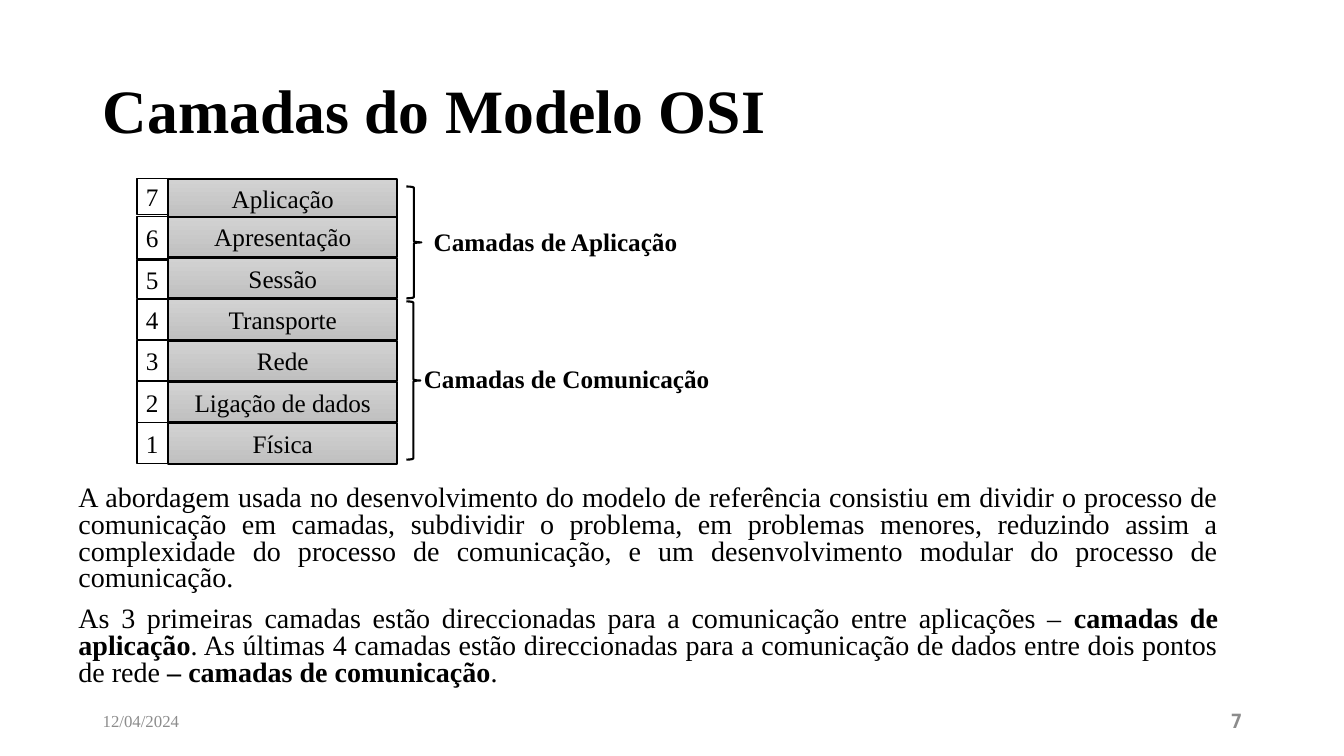
from pptx import Presentation
from pptx.dml.color import RGBColor
from pptx.enum.shapes import MSO_SHAPE
from pptx.enum.text import MSO_ANCHOR, PP_ALIGN
from pptx.util import Inches, Pt

RECTANGLE, BRACE = MSO_SHAPE.RECTANGLE, MSO_SHAPE.RIGHT_BRACE
TOP, MIDDLE = MSO_ANCHOR.TOP, MSO_ANCHOR.MIDDLE
LEFT, CENTER, RIGHT, JUSTIFY = PP_ALIGN.LEFT, PP_ALIGN.CENTER, PP_ALIGN.RIGHT, PP_ALIGN.JUSTIFY
BLACK = RGBColor(0x00, 0x00, 0x00)
WHITE = RGBColor(0xFF, 0xFF, 0xFF)
GRAY = RGBColor(0x8C, 0x8C, 0x8C)
LAYER_LIGHT = RGBColor(0xD2, 0xD2, 0xD2)
LAYER_DARK = RGBColor(0xC0, 0xC0, 0xC0)
SERIF, MONO = "Times New Roman", "DejaVu Sans Mono"

TITLE = "Camadas do Modelo OSI"
LAYERS = [
    ("Aplicação", 1.77, 0.36),
    ("Apresentação", 2.15, 0.42),
    ("Sessão", 2.58, 0.38),
    ("Transporte", 2.97, 0.40),
    ("Rede", 3.38, 0.40),
    ("Ligação de dados", 3.78, 0.42),
    ("Física", 4.19, 0.41),
]
GROUPS = [
    ("Camadas de Aplicação", (4.19, 2.2, 2.64, 0.4), (4.03, 1.85, 0.15, 1.11)),
    ("Camadas de Comunicação", (4.09, 3.56, 3.06, 0.4), (4.03, 2.99, 0.14, 1.57)),
]
BODY = [
    [("A abordagem usada no desenvolvimento do modelo de referência consistiu em dividir "
      "o processo de comunicação em camadas, subdividir o problema, em problemas menores, "
      "reduzindo assim a complexidade do processo de comunicação, e um desenvolvimento "
      "modular do processo de comunicação.", False)],
    [("As 3 primeiras camadas estão direccionadas para a comunicação entre aplicações – ", False),
     ("camadas de aplicação", True),
     (". As últimas 4 camadas estão direccionadas para a comunicação de dados entre dois "
      "pontos de rede ", False),
     ("– camadas de comunicação", True),
     (".", False)],
]
FOOTERS = [
    ("12/04/2024", 0.92, LEFT, 12, SERIF, False),
    ("7", 9.42, RIGHT, 14, MONO, True),
]
LAYER_LEFT, LAYER_WIDTH, LAYER_HEIGHT = 1.67, 2.27, 0.4
LAYER_BOTTOM, LAYER_PITCH = 4.6, 0.41
FIRST_TOP, FIRST_HEIGHT = 1.78, 0.38


def style(para, size, color=BLACK, bold=None, align=LEFT, name=SERIF):
    para.alignment = align
    para.font.size, para.font.name = Pt(size), name
    para.font.bold, para.font.color.rgb = bold, color


def add_text(page, place, text, size, wrap=True, anchor=TOP, **look):
    box = page.shapes.add_textbox(*map(Inches, place))
    frame = box.text_frame
    frame.word_wrap, frame.vertical_anchor = wrap, anchor
    frame.text = text
    style(frame.paragraphs[0], size, **look)


def add_outline(page, preset, place, weight):
    shape = page.shapes.add_shape(preset, *map(Inches, place))
    shape.shadow.inherit = False
    shape.line.color.rgb, shape.line.width = BLACK, Pt(weight)
    return shape


def add_cell(page, place, text, weight):
    cell = add_outline(page, RECTANGLE, place, weight)
    frame = cell.text_frame
    frame.margin_left = frame.margin_right = 0
    frame.vertical_anchor = MIDDLE
    frame.text = text
    style(frame.paragraphs[0], 18, align=CENTER)
    return cell


def add_layers(page):
    for index, (name, number_top, number_height) in enumerate(LAYERS):
        top = LAYER_BOTTOM - LAYER_HEIGHT - LAYER_PITCH * (len(LAYERS) - 1 - index)
        height = LAYER_HEIGHT
        if index == 0:
            top, height = FIRST_TOP, FIRST_HEIGHT
        layer = add_cell(page, (LAYER_LEFT, top, LAYER_WIDTH, height), name, 1.5)
        layer.fill.gradient()
        layer.fill.gradient_angle = 270
        for stop, color in zip(layer.fill.gradient_stops, (LAYER_LIGHT, LAYER_DARK)):
            stop.color.rgb = color
        place = (1.36, number_top, 0.3, number_height)
        number = add_cell(page, place, str(len(LAYERS) - index), 1)
        number.fill.solid()
        number.fill.fore_color.rgb = WHITE


def add_body(page):
    box = page.shapes.add_textbox(*map(Inches, (0.68, 4.77, 11.5, 2.17)))
    frame = box.text_frame
    frame.word_wrap = True
    for index, spans in enumerate(BODY):
        para = frame.add_paragraph() if index else frame.paragraphs[0]
        style(para, 20, align=JUSTIFY)
        para.line_spacing = 0.8
        para.space_before = Pt(10 if index else 0)
        for text, bold in spans:
            span = para.add_run()
            span.text, span.font.bold = text, bold


def main():
    deck = Presentation()
    deck.slide_width, deck.slide_height = Inches(13.33), Inches(7.5)
    page = deck.slides.add_slide(deck.slide_layouts[5])

    title = page.shapes.title
    title.left, title.top = Inches(0.92), Inches(0.4)
    title.width, title.height = Inches(11.5), Inches(1.45)
    title.text_frame.text = TITLE
    title.text_frame.vertical_anchor = MIDDLE
    style(title.text_frame.paragraphs[0], 44, bold=True)
    title.text_frame.paragraphs[0].line_spacing = 0.9

    add_layers(page)
    for label, label_place, brace_place in GROUPS:
        add_outline(page, BRACE, brace_place, 1.5).fill.background()
        add_text(page, label_place, label, 18, wrap=False, bold=True, align=CENTER)
    add_body(page)
    for text, left, align, size, name, bold in FOOTERS:
        add_text(page, (left, 6.95, 3, 0.4), text, size, anchor=MIDDLE,
                 color=GRAY, bold=bold, align=align, name=name)
    deck.save("out.pptx")


if __name__ == "__main__":
    main()
